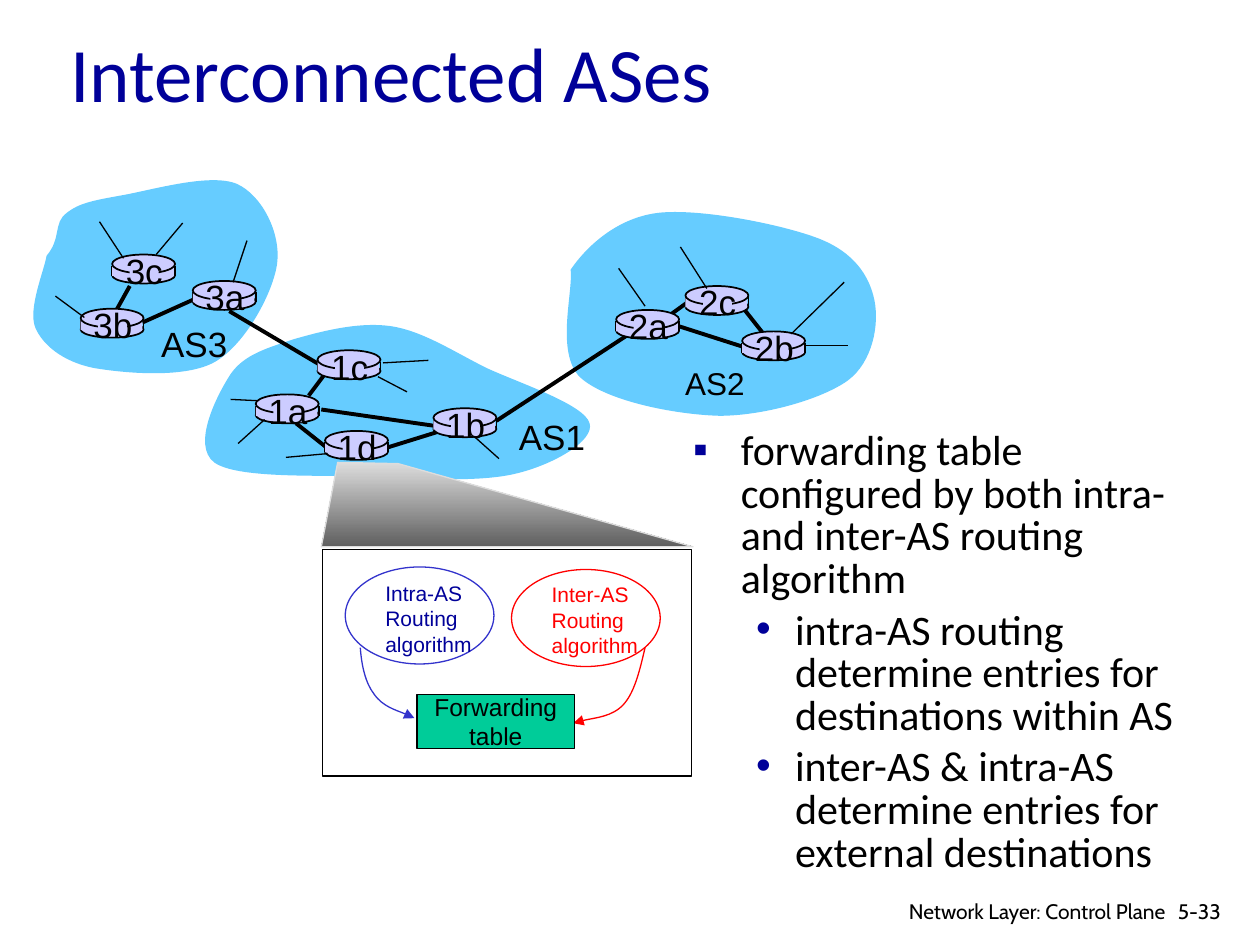
from lxml.etree import SubElement
from pptx import Presentation
from pptx.dml.color import RGBColor
from pptx.enum.shapes import MSO_CONNECTOR, MSO_SHAPE
from pptx.enum.text import MSO_ANCHOR, MSO_AUTO_SIZE, PP_ALIGN
from pptx.oxml.ns import qn
from pptx.util import Inches, Pt

COLUMNS, ROWS = 1000, 750
SKY, LILAC, NAVY, BLUE, RED, BLACK = "66CCFF", "CCCCFF", "000099", "3333CC", "FF0000", "000000"

CLOUDS = [
    [(453, 214), (466, 195), (490, 173), (522, 169), (555, 165), (620, 178), (649, 189),
     (678, 200), (690, 219), (694, 238), (698, 257), (693, 287), (673, 302),
     (652, 317), (606, 330), (571, 330), (535, 329), (480, 318), (460, 299),
     (441, 279), (455, 232), (453, 214)],
    [(37, 203), (49, 189), (42, 177), (53, 169), (63, 161), (75, 159), (97, 155),
     (120, 151), (167, 137), (188, 146), (208, 155), (223, 185), (220, 209),
     (217, 232), (195, 273), (171, 287), (147, 301), (97, 296), (74, 292),
     (50, 287), (34, 274), (28, 260), (22, 245), (35, 215), (37, 203)],
    [(183, 297), (194, 281), (213, 276), (234, 269), (255, 263), (285, 255), (311, 259),
     (336, 263), (360, 279), (386, 292), (412, 304), (464, 321), (468, 336),
     (472, 350), (439, 369), (409, 376), (380, 383), (331, 380), (291, 378),
     (252, 377), (188, 380), (170, 367), (152, 353), (172, 314), (183, 297)],
]
ROUTERS = {
    "3b": (64, 245), "1d": (258, 342), "3a": (153, 223), "1c": (252, 278), "2a": (489, 246),
    "1a": (203, 313), "2c": (544, 227), "2b": (589, 263), "1b": (344, 324), "3c": (89, 202),
}
LINKS = [
    (539, 259, 589, 275), (591, 246, 606, 265), (529, 252, 547, 239), (308, 355, 350, 342),
    (235, 336, 259, 355), (255, 325, 345, 338), (245, 314, 257, 298), (113, 256, 153, 238),
    (182, 247, 253, 289), (394, 334, 498, 266), (103, 227, 93, 245),
]
STUBS = [
    (44, 235, 67, 252), (145, 177, 124, 202), (79, 176, 98, 205), (196, 191, 185, 224),
    (638, 274, 673, 274), (628, 265, 670, 224), (561, 229, 540, 196), (512, 243, 491, 213),
    (210, 333, 189, 352), (204, 318, 183, 317), (260, 360, 227, 363), (304, 288, 340, 286),
    (377, 347, 396, 364), (300, 299, 323, 311),
]
SYSTEMS = [("AS3", (118, 251, 73, 43), 20), ("AS1", (402, 325, 73, 43), 20),
           ("AS2", (534, 284, 67, 40), 18)]
BEAM = [(255, 434), (268, 367), (316, 368), (550, 434)]
ALGORITHMS = [
    ("Intra-AS", (274, 450), (296, 456), BLUE, NAVY,
     [(286, 514), (287, 528), (290, 542), (297, 551), (304, 561), (324, 567), (329, 570)]),
    ("Inter-AS", (406, 452), (428, 457), RED, RED,
     [(512, 514), (508, 531), (504, 549), (495, 559), (486, 569), (462, 571), (455, 574)]),
]
TITLE = "Interconnected ASes"
BULLETS = [
    (0, "▪", "forwarding table configured by both intra- and inter-AS routing algorithm"),
    (1, "•", "intra-AS routing determine entries for destinations within AS"),
    (1, "•", "inter-AS & intra-AS determine entries for external destinations"),
]
INDENTS = [(0.38, -0.38), (0.81, -0.31)]
FOOTERS = [("5-33", (925, 708, 60, 30), PP_ALIGN.LEFT),
           ("Network Layer: Control Plane", (697, 708, 238, 26), PP_ALIGN.RIGHT)]

deck = Presentation()
deck.slide_width, deck.slide_height = Inches(10), Inches(7.5)
page = deck.slides.add_slide(deck.slide_layouts[1])
column, row = deck.slide_width // COLUMNS, deck.slide_height // ROWS


def place(*cells):
    return [cell * (row if index % 2 else column) for index, cell in enumerate(cells)]


def color(value):
    return RGBColor.from_string(value)


def paint(shape, fill=None, line=None, width=0.75):
    shape.shadow.inherit = False
    if fill:
        shape.fill.solid()
        shape.fill.fore_color.rgb = color(fill)
    else:
        shape.fill.background()
    if line:
        shape.line.color.rgb = color(line)
        shape.line.width = Pt(width)
    else:
        shape.line.fill.background()
    return shape


def add_preset(kind, cells, *look):
    return paint(page.shapes.add_shape(kind, *place(*cells)), *look)


def add_line(cells, width):
    line = page.shapes.add_connector(MSO_CONNECTOR.STRAIGHT, *place(*cells))
    line.line.color.rgb = color(BLACK)
    line.line.width = Pt(width)
    SubElement(line.element.spPr, qn("a:effectLst"))


def add_outline(points, close, *look):
    spots = [place(*point) for point in points]
    builder = page.shapes.build_freeform(*spots[0], scale=1.0)
    builder.add_line_segments(spots[1:], close=close)
    return paint(builder.convert_to_shape(), *look)


def add_curve(points, close, *look):
    shape = add_outline(points, close, *look)
    outline = next(shape.element.iter(qn("a:path")))
    segments = outline.findall(qn("a:lnTo"))
    for first, second, third in zip(*[iter(segments)] * 3):
        first.tag = qn("a:cubicBezTo")
        for segment in (second, third):
            first.append(segment[0])
            outline.remove(segment)
    return shape


def write(para, text, font, size, ink, align=PP_ALIGN.LEFT):
    para.alignment = align
    span = para.add_run()
    span.text = text
    span.font.name, span.font.size = font, Pt(size)
    span.font.color.rgb = color(ink)


def write_lines(frame, lines, *style):
    for index, text in enumerate(lines):
        para = frame.add_paragraph() if index else frame.paragraphs[0]
        write(para, text, *style)


def add_text(cells, lines, *style, wrap=False):
    frame = page.shapes.add_textbox(*place(*cells)).text_frame
    frame.word_wrap = wrap
    frame.auto_size = MSO_AUTO_SIZE.NONE if wrap else MSO_AUTO_SIZE.SHAPE_TO_FIT_TEXT
    write_lines(frame, lines, *style)


def add_router(name, x, y):
    add_preset(MSO_SHAPE.OVAL, (x, y + 10, 50, 13), LILAC, BLACK, 1)
    for side in (x, x + 50):
        add_line((side, y + 9, side, y + 17), 1)
    add_preset(MSO_SHAPE.RECTANGLE, (x, y + 9, 49, 8), LILAC)
    add_preset(MSO_SHAPE.OVAL, (x, y, 50, 15), LILAC, BLACK, 1)
    add_preset(MSO_SHAPE.RECTANGLE, (x + 14, y + 2, 23, 20), LILAC)
    add_text((x, y - 9, 51, 43), [name], "Arial", 20, BLACK, PP_ALIGN.CENTER)


def fit_placeholder(box, cells, anchor):
    box.left, box.top, box.width, box.height = place(*cells)
    box.text_frame.auto_size = MSO_AUTO_SIZE.NONE
    box.text_frame.vertical_anchor = anchor
    return box.text_frame


for cloud in CLOUDS:
    add_curve(cloud, True, SKY)
for link in LINKS:
    add_line(link, 2.25)
for name, corner in ROUTERS.items():
    add_router(name, *corner)
for stub in STUBS:
    add_line(stub, 0.75)
for name, cells, size in SYSTEMS:
    add_text(cells, [name], "Arial", size, BLACK)

beam = add_outline(BEAM, True, None, "DDDDDD")
beam.fill.gradient()
beam.fill.gradient_angle = 270
for stop, position, shade in zip(beam.fill.gradient_stops, (0, 1), ("DDDDDD", "5F5F5F")):
    stop.position = position
    stop.color.rgb = color(shade)

add_preset(MSO_SHAPE.RECTANGLE, (256, 436, 293, 180), None, BLACK)
for name, oval, label, edge, ink, route in ALGORITHMS:
    add_preset(MSO_SHAPE.OVAL, (*oval, 118, 77), None, edge)
    add_text((*label, 92, 70), [name, "Routing", "algorithm"], "Arial", 12, ink)
    arrow = add_curve(route, False, None, edge)
    SubElement(arrow.element.spPr.find(qn("a:ln")), qn("a:tailEnd"), type="triangle")

table_box = add_preset(MSO_SHAPE.RECTANGLE, (331, 551, 125, 43), "00CC99", BLACK)
table_box.text_frame.word_wrap = False
table_box.text_frame.vertical_anchor = MSO_ANCHOR.MIDDLE
write_lines(table_box.text_frame, ["Forwarding", "table"], "Arial", 14, BLACK, PP_ALIGN.CENTER)

heading = fit_placeholder(page.shapes.title, (46, 25, 850, 64), MSO_ANCHOR.MIDDLE)
write_lines(heading, [TITLE], "Calibri", 44, NAVY)

body = fit_placeholder(page.placeholders[1], (540, 337, 426, 372), MSO_ANCHOR.TOP)
write_lines(body, [text for _, _, text in BULLETS], "Calibri", 24, BLACK)
for para, (level, mark, _) in zip(body.paragraphs, BULLETS):
    para.level = level
    para.line_spacing = 0.85
    para.space_before = Pt(4.8)
    properties = para._p.get_or_add_pPr()
    margin, indent = INDENTS[level]
    properties.set("marL", str(Inches(margin)))
    properties.set("indent", str(Inches(indent)))
    SubElement(SubElement(properties, qn("a:buClr")), qn("a:srgbClr"), val=NAVY)
    SubElement(properties, qn("a:buFont"), typeface="Arial")
    SubElement(properties, qn("a:buChar"), char=mark)

for text, cells, align in FOOTERS:
    add_text(cells, [text], "Cabin", 12, BLACK, align, wrap=True)

deck.save("out.pptx")
